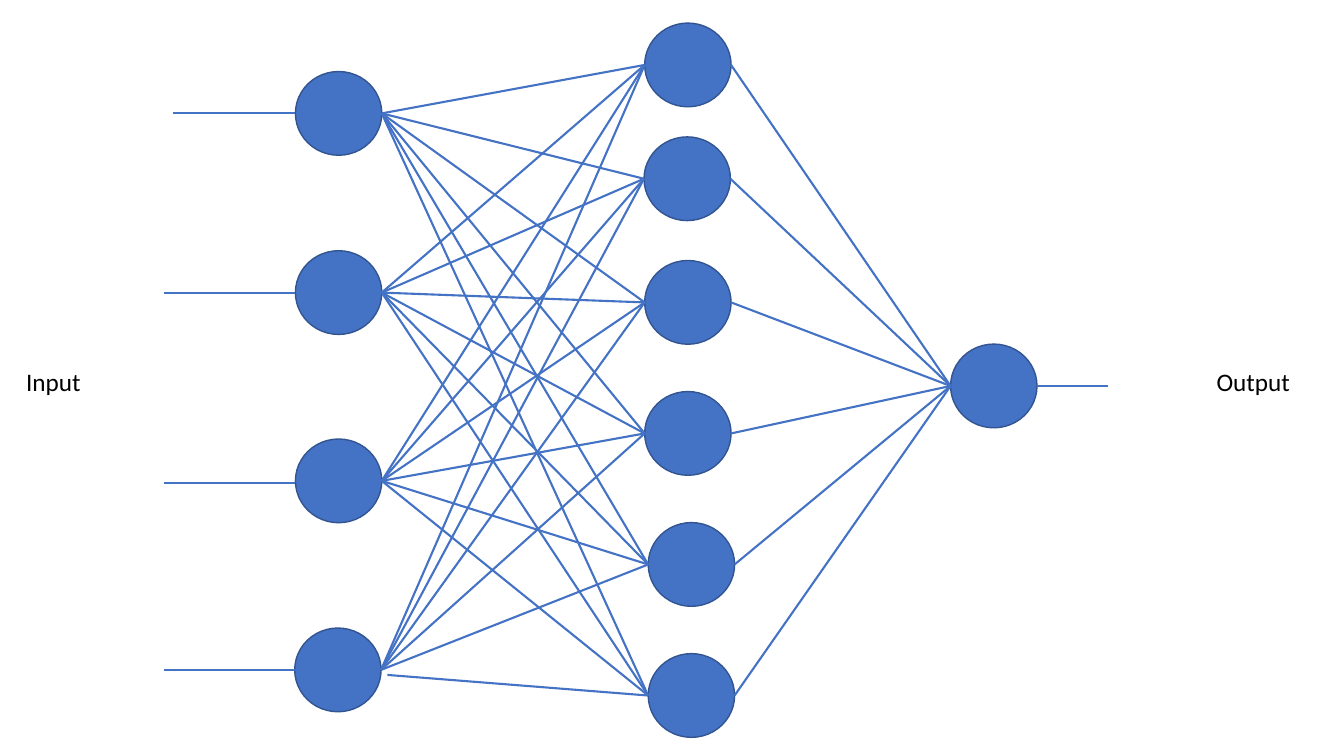
from pptx import Presentation
from pptx.dml.color import RGBColor
from pptx.enum.shapes import MSO_CONNECTOR, MSO_SHAPE
from pptx.enum.text import MSO_AUTO_SIZE
from pptx.oxml.ns import qn
from pptx.util import Pt

NEURON_SHAPE = MSO_SHAPE.FLOWCHART_CONNECTOR
STRAIGHT = MSO_CONNECTOR.STRAIGHT
FIT_TEXT = MSO_AUTO_SIZE.SHAPE_TO_FIT_TEXT

COLORS = {"neuron": "4472C4", "outline": "325491", "text": "000000"}
FONT = "Calibri"
NEURON_W, NEURON_H = 61.7, 59.8

# Left edge and centre height of each neuron, in points within the network
INPUT_NEURONS = [(94, 64), (94, 192), (94, 326.5), (93.5, 461.5)]
HIDDEN_NEURONS = [(343.5, 29.4), (343, 110.7), (343.5, 199),
                  (343.5, 292.6), (346, 386.2), (346, 479.8)]
OUTPUT_NEURON = (562, 258.7)
# Start of the line that feeds each input neuron
INPUT_STARTS = [(6.8, 64), (0, 192), (0, 328), (0, 461.5)]
OUTPUT_END = (674.3, 258.7)
# The lowest input-to-hidden line starts a little off its neuron
LOWEST_LINE_SHIFT = (4.5, 3.6)


def color(key):
    return RGBColor.from_string(COLORS[key])


def right_side(neuron):
    return neuron[0] + NEURON_W, neuron[1]


def add_line(slide, origin, start, end):
    left, top = origin
    line = slide.shapes.add_connector(
        STRAIGHT, Pt(left + start[0]), Pt(top + start[1]),
        Pt(left + end[0]), Pt(top + end[1]))
    line.line.color.rgb = color("neuron")
    line.line.width = Pt(1.5)
    properties = line._element.spPr
    properties.append(properties.makeelement(qn("a:effectLst"), {}))


def add_neuron(slide, origin, position):
    neuron = slide.shapes.add_shape(
        NEURON_SHAPE, Pt(origin[0] + position[0]),
        Pt(origin[1] + position[1] - NEURON_H / 2), Pt(NEURON_W), Pt(NEURON_H))
    neuron.shadow.inherit = False
    neuron.fill.solid()
    neuron.fill.fore_color.rgb = color("neuron")
    neuron.line.color.rgb = color("outline")
    neuron.line.width = Pt(1)


def add_network(slide, origin):
    # Neurons of all three layers
    for position in INPUT_NEURONS + HIDDEN_NEURONS + [OUTPUT_NEURON]:
        add_neuron(slide, origin, position)

    # Lines into and out of the network
    for start, neuron in zip(INPUT_STARTS, INPUT_NEURONS):
        add_line(slide, origin, start, (neuron[0], start[1]))
    add_line(slide, origin, right_side(OUTPUT_NEURON), OUTPUT_END)

    # Every input feeds every hidden neuron, which feeds the output
    for hidden in HIDDEN_NEURONS:
        for neuron in INPUT_NEURONS:
            x, y = right_side(neuron)
            if neuron == INPUT_NEURONS[-1] and hidden == HIDDEN_NEURONS[-1]:
                x, y = x + LOWEST_LINE_SHIFT[0], y + LOWEST_LINE_SHIFT[1]
            add_line(slide, origin, (x, y), hidden)
        add_line(slide, origin, right_side(hidden), OUTPUT_NEURON)


def add_label(slide, box, wording):
    label = slide.shapes.add_textbox(*(Pt(length) for length in box))
    frame = label.text_frame
    frame.margin_left = frame.margin_right = 0
    frame.margin_top = frame.margin_bottom = 0
    frame.word_wrap = False
    frame.auto_size = FIT_TEXT
    frame.text = wording
    font = frame.paragraphs[0].runs[0].font
    font.name = FONT
    font.size = Pt(18)
    font.color.rgb = color("text")


def main():
    deck = Presentation()
    deck.slide_width, deck.slide_height = Pt(960), Pt(540)
    slide = deck.slides.add_slide(deck.slide_layouts[6])
    add_network(slide, (117, 17))
    add_label(slide, (18.7, 261.5, 39.6, 21.6), "Input")
    add_label(slide, (869, 262, 52.6, 21.6), "Output")
    deck.save("out.pptx")


if __name__ == "__main__":
    main()
